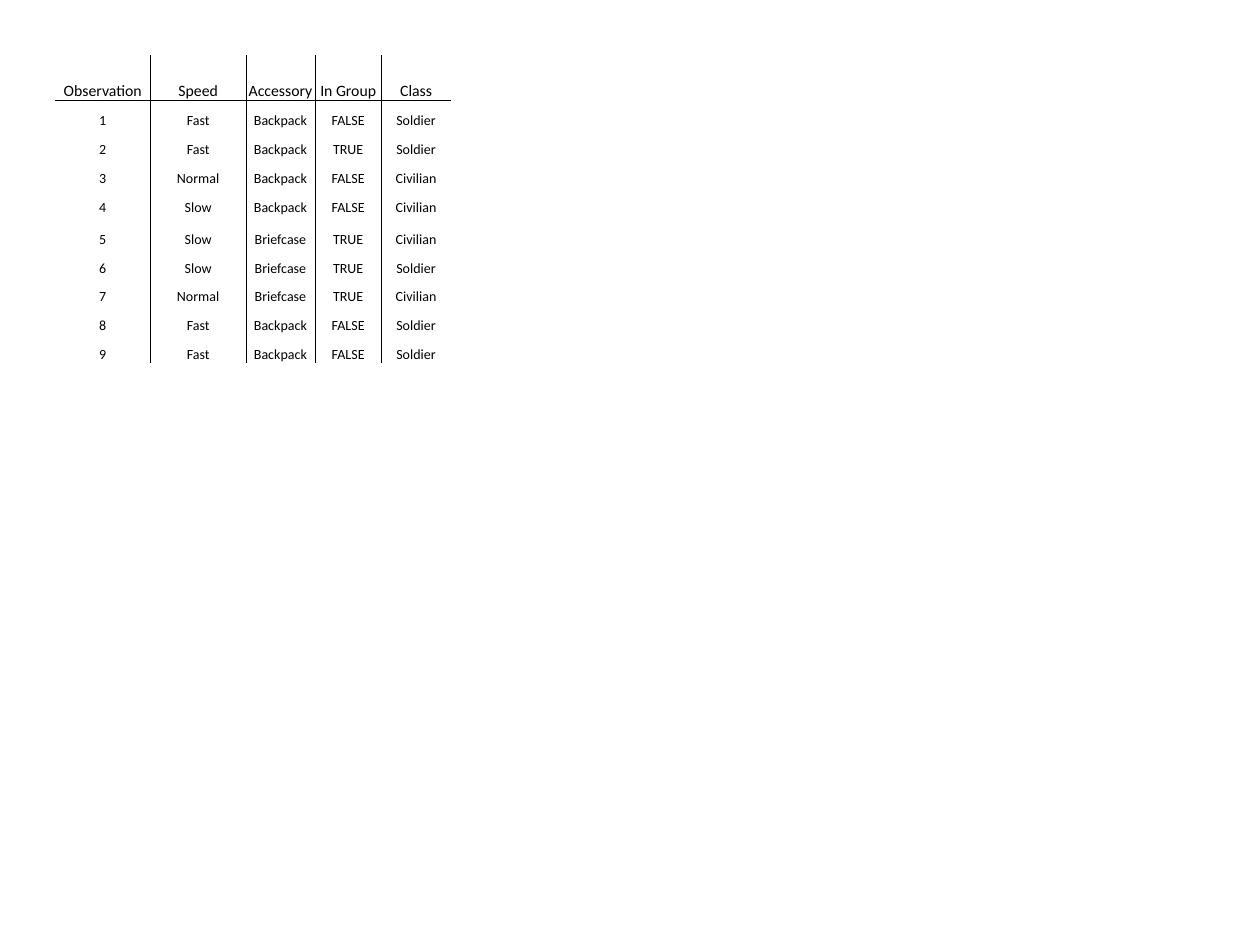
import pptx
import pptx.dml.color
import pptx.enum.text
import pptx.oxml
import pptx.oxml.ns
import pptx.util
from pptx.util import Cm

COLORS = {"text": "000000", "rule": "000000"}
COLUMN_WIDTHS = [1.92, 1.93, 1.39, 1.34, 1.4]
HEADER_HEIGHT, ROW_HEIGHT, GROUP_HEIGHT = 0.92, 0.58, 0.65
GROUP_ROW = 5

HEADERS = ["Observation", "Speed", "Accessory", "In Group", "Class"]
OBSERVATIONS = [
    ("Fast", "Backpack", "FALSE", "Soldier"),
    ("Fast", "Backpack", "TRUE", "Soldier"),
    ("Normal", "Backpack", "FALSE", "Civilian"),
    ("Slow", "Backpack", "FALSE", "Civilian"),
    ("Slow", "Briefcase", "TRUE", "Civilian"),
    ("Slow", "Briefcase", "TRUE", "Soldier"),
    ("Normal", "Briefcase", "TRUE", "Civilian"),
    ("Fast", "Backpack", "FALSE", "Soldier"),
    ("Fast", "Backpack", "FALSE", "Soldier"),
]


class SlideBuilder:
    font_name = "Calibri"
    header_size = 9
    body_size = 8
    rule_width = 0.5
    cell_format = {
        "margin_left": Cm(0.02),
        "margin_right": Cm(0.02),
        "margin_top": Cm(0.02),
        "margin_bottom": Cm(0),
        "vertical_anchor": pptx.enum.text.MSO_ANCHOR.BOTTOM,
    }

    def __init__(self, slide):
        self.slide = slide

    def add_table(self, left, top, widths, heights, rows):
        shape = self.slide.shapes.add_table(
            len(rows), len(widths), Cm(left), Cm(top),
            Cm(sum(widths)), Cm(sum(heights)))
        table = shape.table
        table.first_row = table.horz_banding = False
        for column, width in zip(table.columns, widths):
            column.width = Cm(width)
        for row, height in zip(table.rows, heights):
            row.height = Cm(height)
        last_column = len(widths) - 1
        for row_index, values in enumerate(rows):
            for column_index, text in enumerate(values):
                cell = table.cell(row_index, column_index)
                size = self.body_size if row_index else self.header_size
                self.fill_cell(cell, text, size)
                self.set_borders(cell, {
                    "L": column_index > 0,
                    "R": column_index < last_column,
                    "T": row_index == 1,
                    "B": row_index == 0,
                })
                cell.fill.background()

    def fill_cell(self, cell, text, size):
        for name, value in self.cell_format.items():
            setattr(cell, name, value)
        paragraph = cell.text_frame.paragraphs[0]
        paragraph.alignment = pptx.enum.text.PP_ALIGN.CENTER
        run = paragraph.add_run()
        run.text = text
        font_format = {"name": self.font_name, "size": pptx.util.Pt(size), "bold": False}
        for name, value in font_format.items():
            setattr(run.font, name, value)
        run.font.color.rgb = pptx.dml.color.RGBColor.from_string(COLORS["text"])

    def set_borders(self, cell, sides):
        """Rule the sides marked true and clear the others; call before the fill is set."""
        properties = cell._tc.get_or_add_tcPr()
        solid = f'<a:solidFill><a:srgbClr val="{COLORS["rule"]}"/></a:solidFill>'
        width = pptx.util.Pt(self.rule_width)
        for side, ruled in sides.items():
            paint = solid if ruled else "<a:noFill/>"
            properties.append(pptx.oxml.parse_xml(
                f'<a:ln{side} {pptx.oxml.ns.nsdecls("a")} w="{width}">{paint}</a:ln{side}>'))


def main():
    presentation = pptx.Presentation()
    presentation.slide_width = Cm(25.4)
    presentation.slide_height = Cm(19.05)
    builder = SlideBuilder(presentation.slides.add_slide(presentation.slide_layouts[6]))

    rows = [HEADERS] + [
        (str(number), *values) for number, values in enumerate(OBSERVATIONS, start=1)]
    heights = [HEADER_HEIGHT] + [ROW_HEIGHT] * len(OBSERVATIONS)
    heights[GROUP_ROW] = GROUP_HEIGHT
    builder.add_table(1.11, 1.11, COLUMN_WIDTHS, heights, rows)
    presentation.save("out.pptx")


if __name__ == "__main__":
    main()
